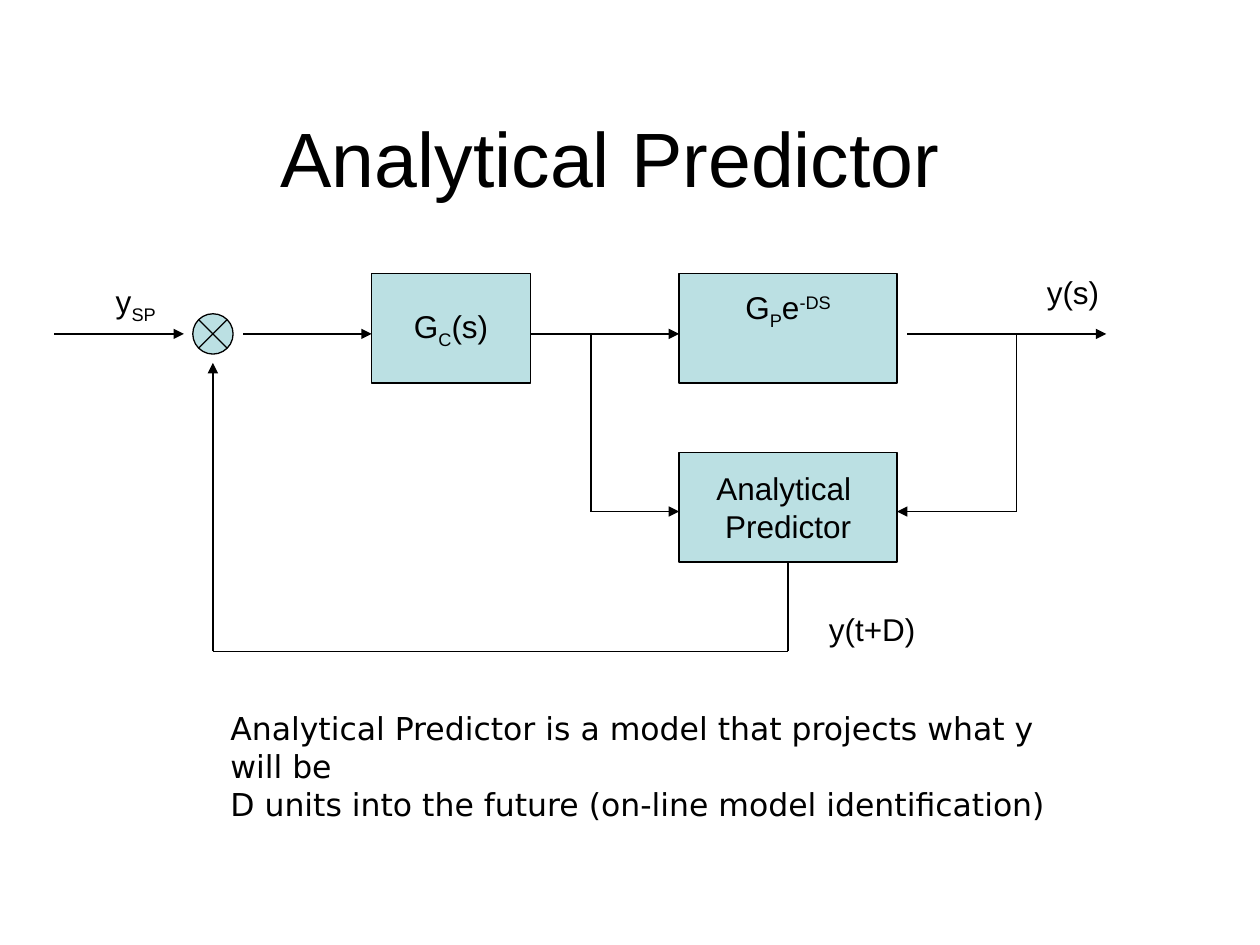
from dataclasses import dataclass

from lxml import etree
from pptx import Presentation
from pptx import util as u
from pptx.dml.color import RGBColor
from pptx.enum import shapes, text
from pptx.oxml import ns

Inches = u.Inches


@dataclass(frozen=True)
class Theme:
    ink: RGBColor = RGBColor(0, 0, 0)
    fill: RGBColor = RGBColor(0xBB, 0xE0, 0xE3)
    font: str = "Arial"
    note: str = "DejaVu Sans"
    head: int = 44
    body: int = 18
    line: float = 0.75
    sub: int = -25000
    sup: int = 30000


THEME = Theme()


def write(shape, lines, size=THEME.body, font=THEME.font, align=None, wrap=False):
    """Fill a shape; a line is a string or a list of (text, baseline) runs."""
    frame = shape.text_frame
    frame.word_wrap = wrap
    for i, line in enumerate(lines):
        para = frame.paragraphs[0] if i == 0 else frame.add_paragraph()
        para.alignment = align
        for part, base in [(line, 0)] if isinstance(line, str) else line:
            run = para.add_run()
            run.text = part
            run.font.size = u.Pt(size)
            run.font.name = font
            run.font.color.rgb = THEME.ink
            if base:
                run.font._element.set("baseline", str(base))
    return frame


def label(slide, box, lines, **style):
    area = slide.shapes.add_textbox(*map(Inches, box))
    return write(area, lines, **style)


def node(slide, kind, box):
    shape = slide.shapes.add_shape(kind, *map(Inches, box))
    shape.shadow.inherit = False
    shape.fill.solid()
    shape.fill.fore_color.rgb = THEME.fill
    shape.line.color.rgb = THEME.ink
    shape.line.width = u.Pt(THEME.line)
    return shape


def block(slide, box, lines):
    shape = node(slide, shapes.MSO_SHAPE.RECTANGLE, box)
    frame = write(shape, lines, align=text.PP_ALIGN.CENTER)
    frame.vertical_anchor = text.MSO_ANCHOR.MIDDLE
    return frame


def route(slide, points):
    """Join points with straight lines, with an arrowhead on the last one."""
    for i, (start, end) in enumerate(zip(points, points[1:]), 2):
        link = slide.shapes.add_connector(
            shapes.MSO_CONNECTOR.STRAIGHT, *map(Inches, start + end))
        link.line.color.rgb = THEME.ink
        link.line.width = u.Pt(THEME.line)
        if i == len(points):
            tail = etree.SubElement(link.line._get_or_add_ln(), ns.qn("a:tailEnd"))
            tail.set("type", "triangle")
        etree.SubElement(link._element.spPr, ns.qn("a:effectLst"))


def title(slide, box):
    frame = label(slide, box, ["Analytical Predictor"], size=THEME.head,
                  align=text.PP_ALIGN.CENTER, wrap=True)
    frame.vertical_anchor = text.MSO_ANCHOR.BOTTOM


def diagram(slide, left, top):
    def at(x, y, *size):
        return (left + x, top + y) + size

    # Shared rows and columns
    main, low, back, base = 0.53, 1.47, 1.94, 3.05
    high, wide, col = 0.87, 1.73, 4.96
    right, mid = col + wide, col + wide / 2
    split, tap, sumx = 4.26, 7.64, 1.26

    # Summing junction and blocks
    node(slide, shapes.MSO_SHAPE.FLOWCHART_SUMMING_JUNCTION,
         at(sumx - 0.16, main - 0.16, 0.32, 0.32))
    block(slide, at(2.52, 0.05, 1.26, high),
          [[("G", 0), ("C", THEME.sub), ("(s)", 0)]])
    plant = block(slide, at(col, 0.05, wide, high),
                  [[("G", 0), ("P", THEME.sub), ("e", 0), ("-DS", THEME.sup)]])
    plant.margin_bottom = Inches(0.35)
    block(slide, at(col, low, wide, high), ["Analytical ", "Predictor"])

    # Forward path
    for x1, x2 in [(0, 1.03), (1.5, 2.52), (3.78, col), (6.77, 8.35)]:
        route(slide, [at(x1, main), at(x2, main)])

    # Inputs to the predictor, then feedback
    for x, edge in [(split, col), (tap, right)]:
        route(slide, [at(x, main), at(x, back), at(edge, back)])
    route(slide, [at(mid, low + high), at(mid, base),
                  at(sumx, base), at(sumx, 0.76)])

    # Signal names
    label(slide, at(0.39, 0.07, 0.52, 0.44), [[("y", 0), ("SP", THEME.sub)]])
    label(slide, at(6.05, 2.67, 0.89, 0.4), ["y(t+D)"])
    # Left-aligned in a roomier box, so the name stays on one line
    label(slide, at(7.78, 0, 0.7, 0.4), ["y(s)"], wrap=True)


def caption(slide, box):
    label(slide, box,
          ["Analytical Predictor is a model that projects what y will be",
           "D units into the future (on-line model identification)"],
          font=THEME.note, wrap=True)


def main():
    deck = Presentation()
    deck.slide_width, deck.slide_height = Inches(10), Inches(7.5)
    slide = deck.slides.add_slide(deck.slide_layouts[6])
    title(slide, (0.47, 0.33, 8.75, 1.33))
    diagram(slide, 0.43, 2.12)
    caption(slide, (1.73, 5.58, 6.93, 0.7))
    deck.save("out.pptx")


if __name__ == "__main__":
    main()
